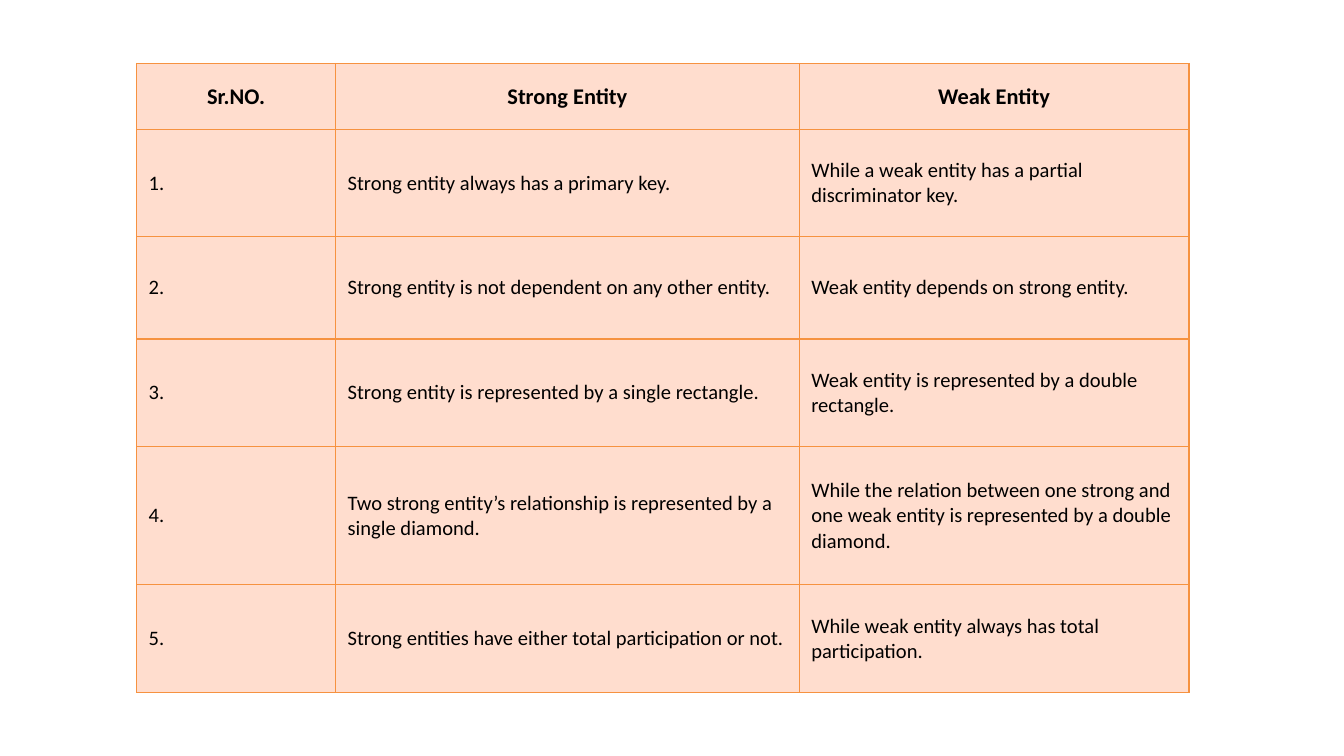
from lxml import etree
from pptx import Presentation, util as u
from pptx.dml.color import RGBColor
from pptx.enum import text
from pptx.oxml import ns

BLACK = RGBColor(0x00, 0x00, 0x00)
PEACH = RGBColor(0xFF, 0xDD, 0xCE)
ORANGE = RGBColor(0xF6, 0x92, 0x40)

HEADINGS = ("Sr.NO.", "Strong Entity", "Weak Entity")
COMPARISONS = (
    ("Strong entity always has a primary key.",
     "While a weak entity has a partial discriminator key."),
    ("Strong entity is not dependent on any other entity.",
     "Weak entity depends on strong entity."),
    ("Strong entity is represented by a single rectangle.",
     "Weak entity is represented by a double rectangle."),
    ("Two strong entity’s relationship is represented by a single diamond.",
     "While the relation between one strong and one weak entity is represented by a double diamond."),
    ("Strong entities have either total participation or not.",
     "While weak entity always has total participation."),
)
COLUMN_WIDTHS = (1.48, 3.45, 2.9)
ROW_HEIGHTS = (0.49, 0.8, 0.76, 0.8, 1.03, 0.8)


class SlideBuilder:
    """Holds the table style and the slide, and draws tables on it."""

    font = "Calibri"
    heading_size = u.Pt(12)
    body_size = u.Pt(11)
    border_width = u.Pt(0.75)
    side_inset = u.Inches(0.09)

    def __init__(self, presentation):
        self.width = presentation.slide_width
        self.height = presentation.slide_height
        self.slide = presentation.slides.add_slide(presentation.slide_layouts[6])

    def table(self, left_percent, top_percent, widths, heights, rows):
        frame = self.slide.shapes.add_table(
            len(rows), len(widths),
            round(left_percent * self.width / 100),
            round(top_percent * self.height / 100),
            u.Inches(sum(widths)), u.Inches(sum(heights)))
        table = frame.table
        for column, width in zip(table.columns, widths):
            column.width = u.Inches(width)
        for row, height in zip(table.rows, heights):
            row.height = u.Inches(height)
        for row_index, values in enumerate(rows):
            for column_index, value in enumerate(values):
                self.cell(table.cell(row_index, column_index), value, row_index == 0)
        table.cell(0, 0).margin_left = table.cell(0, 0).margin_right = u.Inches(0.04)

    def cell(self, cell, value, heading):
        self.borders(cell)
        cell.fill.solid()
        cell.fill.fore_color.rgb = PEACH
        cell.vertical_anchor = text.MSO_ANCHOR.MIDDLE
        cell.margin_left = cell.margin_right = self.side_inset
        cell.margin_top = cell.margin_bottom = u.Inches(0.09 if heading else 0.13)
        cell.text_frame.text = value
        paragraph = cell.text_frame.paragraphs[0]
        paragraph.alignment = text.PP_ALIGN.CENTER if heading else text.PP_ALIGN.LEFT
        font = paragraph.runs[0].font
        font.name = self.font
        font.size = self.heading_size if heading else self.body_size
        font.bold = heading
        font.color.rgb = BLACK

    def borders(self, cell):
        properties = cell._tc.get_or_add_tcPr()
        for side in ("a:lnL", "a:lnR", "a:lnT", "a:lnB"):
            line = etree.SubElement(properties, ns.qn(side), w=str(self.border_width))
            fill = etree.SubElement(line, ns.qn("a:solidFill"))
            etree.SubElement(fill, ns.qn("a:srgbClr"), val=str(ORANGE))


def main():
    presentation = Presentation()
    presentation.slide_width = u.Inches(10)
    presentation.slide_height = presentation.slide_width * 9 // 16
    rows = [HEADINGS] + [
        (f"{number}.", strong, weak)
        for number, (strong, weak) in enumerate(COMPARISONS, 1)]
    builder = SlideBuilder(presentation)
    builder.table(10.17, 8.4, COLUMN_WIDTHS, ROW_HEIGHTS, rows)
    presentation.save("out.pptx")


if __name__ == "__main__":
    main()
